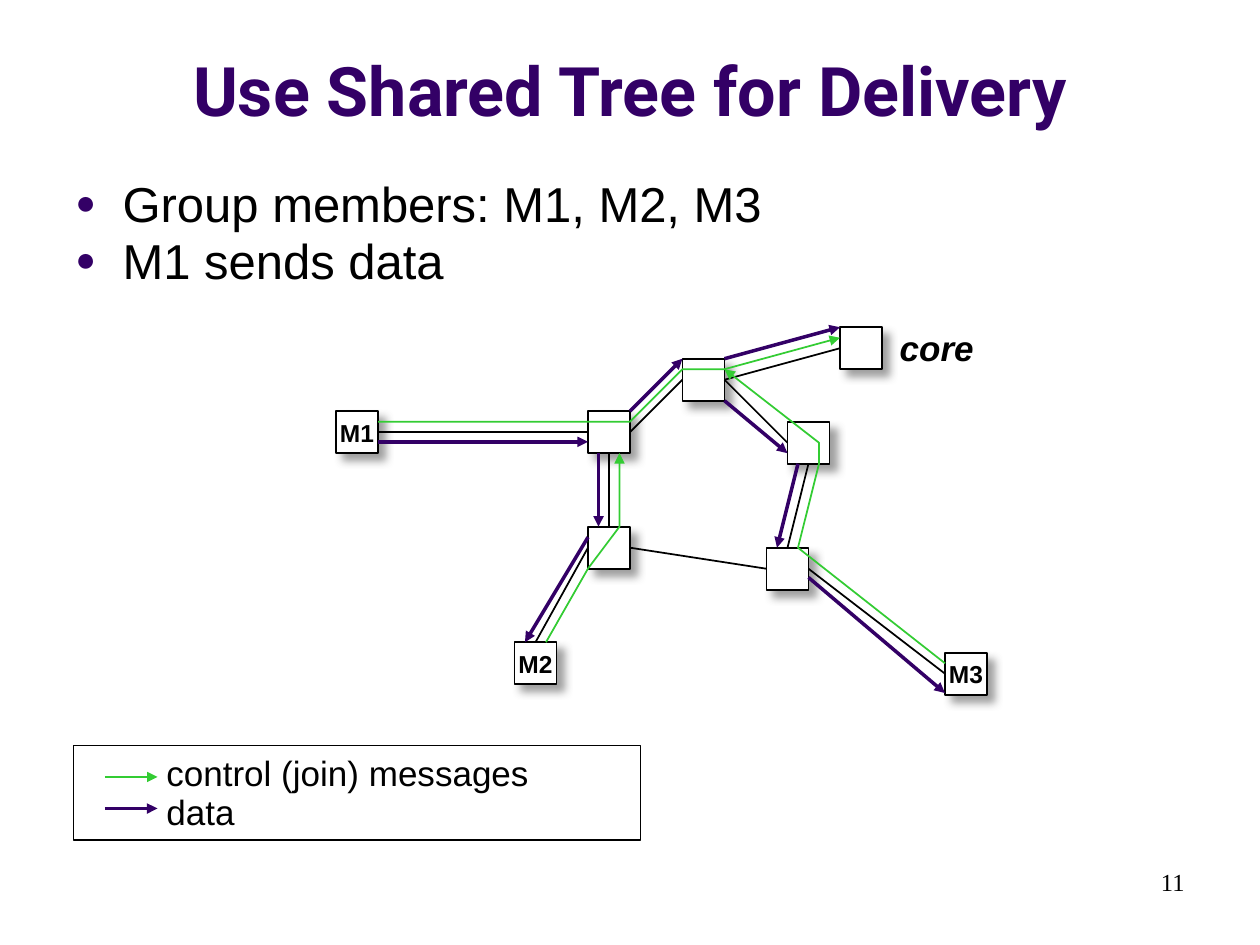
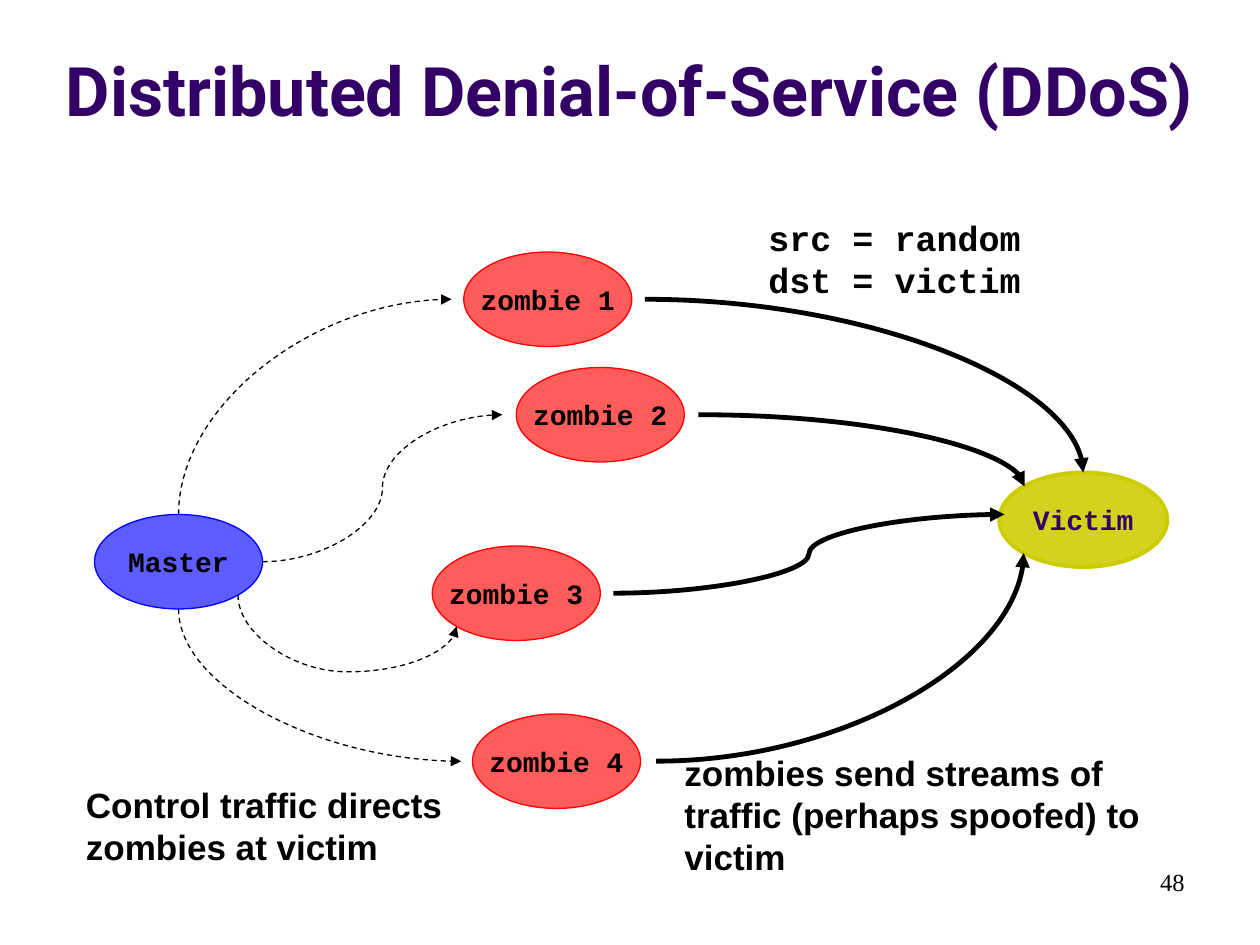
from lxml import etree
from pptx import Presentation
from pptx.dml.color import RGBColor
from pptx.enum.dml import MSO_LINE
from pptx.enum.shapes import MSO_CONNECTOR, MSO_SHAPE
from pptx.enum.text import MSO_ANCHOR, PP_ALIGN
from pptx.oxml import parse_xml
from pptx.oxml.ns import nsdecls, qn
from pptx.util import Pt

STRAIGHT, CURVE = MSO_CONNECTOR.STRAIGHT, MSO_CONNECTOR.CURVE
RECTANGLE, OVAL = MSO_SHAPE.RECTANGLE, MSO_SHAPE.OVAL
LEFT, CENTER, RIGHT = PP_ALIGN.LEFT, PP_ALIGN.CENTER, PP_ALIGN.RIGHT
TOP, MIDDLE, BOTTOM = MSO_ANCHOR.TOP, MSO_ANCHOR.MIDDLE, MSO_ANCHOR.BOTTOM
DASH = MSO_LINE.DASH

PURPLE = RGBColor(0x33, 0x00, 0x66)
GREEN = RGBColor(0x33, 0xCC, 0x33)
BLACK = RGBColor(0, 0, 0)
WHITE = RGBColor(0xFF, 0xFF, 0xFF)
GRAY = RGBColor(0x80, 0x80, 0x80)
BLUE = RGBColor(0, 0, 0xFF)
RED = RGBColor(0xFF, 0, 0)
OLIVE = RGBColor(0xCC, 0xCC, 0)

SANS, MONO, TITLE_FONT, NUMBER_FONT = "Arial", "Courier New", "Roboto", "Times New Roman"

BULLETS = ["Group members: M1, M2, M3", "M1 sends data"]
ROUTER_SIZE = 24
ROUTERS = {
    "hub": (336, 235), "lower left": (336, 301), "lower right": (438, 313),
    "right": (450, 241), "top": (390, 205), "M2": (294, 367),
    "M3": (540, 373), "M1": (192, 235), "core": (480, 187),
}
LINKS = [
    ("top", 3, "core", 1), ("top", 3, "right", 1), ("top", 1, "hub", 3),
    ("hub", 2, "lower left", 0), ("lower left", 3, "lower right", 1),
    ("lower right", 0, "right", 2), ("M1", 3, "hub", 1),
    ("M2", 0, "lower left", 1), ("M3", 1, "lower right", 3),
]
JOIN_PATHS = [
    [(216, 241), (360, 241), (390, 211), (414, 211), (480, 193)],
    [(312, 367), (336, 325), (354, 301), (354, 259)],
    [(540, 379), (456, 313), (468, 265), (468, 253), (414, 211)],
]
DATA_ARROWS = [
    ((216, 252.5), (336, 252.5)), ((342, 259), (342, 301)),
    ((336, 307), (300, 367)), ((360, 235), (390, 205)),
    ((414, 229), (450, 259)), ((456, 265), (444, 313)),
    ((462, 330), (540, 396)), ((414, 205), (480, 187)),
]
LEGEND = [
    ("control (join) messages", GREEN, 1, 444, (88, 426, 223, 31)),
    ("data", PURPLE, 2, 462, (88, 448, 54, 31)),
]

HOST_SIZE = (96, 54)
HOST_TEXT_SIZE = 16
HOSTS = [
    ("Master", 54, 294, BLUE, 64, 0.75, BLACK),
    ("zombie 1", 265, 144, RED, 64, 0.75, BLACK),
    ("zombie 3", 247, 312, RED, 64, 0.75, BLACK),
    ("zombie 4", 270, 408, RED, 64, 0.75, BLACK),
    ("zombie 2", 295, 210, RED, 64, 0.75, BLACK),
    ("Victim", 571, 270, OLIVE, 88, 2.25, PURPLE),
]
CONTROL_CURVES = [
    ((102, 294), (258, 171), "up", 2, None),
    ((150, 321), (287, 237), "right", 3, 0.5),
    ((136, 340), (261, 358), "down", 3, 2.44),
    ((102, 348), (263.5, 435), "down", 2, None),
]
STREAM_CURVES = [
    ((368.5, 171), (619, 270), "right", 2, None),
    ((399, 237), (585.5, 278), "right", 2, None),
    ((350.5, 339), (574, 294), "right", 3, 0.5),
    ((375, 435), (585, 316), "right", 2, None),
]
CAPTIONS = [
    ("Control traffic directs zombies at victim", (42, 444, 228, 55.5), SANS, LEFT, True),
    ("src = random\ndst = victim", (432, 120, 158.5, 55.5), MONO, CENTER, False),
    ("zombies send streams of traffic (perhaps spoofed) to victim",
     (384, 425.5, 306, 80), SANS, LEFT, True),
]


def points(values):
    return [Pt(value) for value in values]


def style_text(paragraph, size, font_name, color=BLACK, bold=False, align=LEFT):
    paragraph.alignment = align
    font = paragraph.font
    font.size, font.name, font.bold = Pt(size), font_name, bold
    font.color.rgb = color


def add_text(slide, text, box, size, font_name, color=BLACK, bold=False,
             align=LEFT, anchor=TOP, wrap=True):
    frame = slide.shapes.add_textbox(*points(box)).text_frame
    frame.word_wrap = wrap
    frame.vertical_anchor = anchor
    paragraph = frame.paragraphs[0]
    paragraph.text = text
    style_text(paragraph, size, font_name, color, bold, align)
    return paragraph


def style_line(shape, color, width, arrow=False, dash=None):
    shape.line.color.rgb = color
    shape.line.width = Pt(width)
    if dash:
        shape.line.dash_style = dash
    properties = shape._element.spPr
    if arrow:
        etree.SubElement(properties.find(qn("a:ln")), qn("a:tailEnd"), type="triangle")
    if properties.find(qn("a:effectLst")) is None:
        etree.SubElement(properties, qn("a:effectLst"))


def add_straight(slide, start, end, color, width, arrow=False):
    connector = slide.shapes.add_connector(STRAIGHT, *points(start + end))
    style_line(connector, color, width, arrow)
    return connector


def add_curve(slide, start, end, heading, kind, adjust, width, dash=None):
    (x1, y1), (x2, y2) = start, end
    if heading != "right":
        center_x, center_y = (x1 + x2) / 2, (y1 + y2) / 2
        half_width, half_height = abs(y2 - y1) / 2, abs(x2 - x1) / 2
        if heading == "down":
            half_height = -half_height
        x1, y1 = center_x + half_width, center_y + half_height
        x2, y2 = center_x - half_width, center_y - half_height
    connector = slide.shapes.add_connector(CURVE, *points((x1, y1, x2, y2)))
    properties = connector._element.spPr
    turn = {"right": 0, "up": 90, "down": 270}[heading]
    properties.find(qn("a:xfrm")).set("rot", str(turn * 60000))
    geometry = properties.find(qn("a:prstGeom"))
    geometry.set("prst", f"curvedConnector{kind}")
    if adjust is not None:
        etree.SubElement(geometry.find(qn("a:avLst")), qn("a:gd"),
                         name="adj1", fmla=f"val {round(adjust * 100000)}")
    style_line(connector, BLACK, width, True, dash)


def add_outlined(slide, kind, box, line_color, width, fill=None):
    shape = slide.shapes.add_shape(kind, *points(box))
    shape.shadow.inherit = False
    if fill is None:
        shape.fill.background()
    else:
        shape.fill.solid()
        shape.fill.fore_color.rgb = fill
    style_line(shape, line_color, width)
    return shape


def add_router(slide, left, top):
    router = add_outlined(slide, RECTANGLE, (left, top, ROUTER_SIZE, ROUTER_SIZE),
                          BLACK, 1, WHITE)
    effects = router._element.spPr.find(qn("a:effectLst"))
    effects.append(parse_xml(
        f'<a:outerShdw {nsdecls("a")} blurRad="{Pt(5)}" dist="{Pt(5.7)}" dir="2700000" '
        f'algn="ctr" rotWithShape="0"><a:srgbClr val="{GRAY}"><a:alpha val="75000"/>'
        '</a:srgbClr></a:outerShdw>'))
    return router


def add_bullet_style(paragraph):
    paragraph.line_spacing = 0.8
    properties = paragraph._p.get_or_add_pPr()
    properties.set("marL", str(Pt(27)))
    properties.set("indent", str(Pt(-27)))
    for item in (
        '<a:spcBef {0}><a:spcPct val="20000"/></a:spcBef>',
        '<a:buClr {0}><a:srgbClr val="{1}"/></a:buClr>',
        '<a:buSzPct {0} val="70000"/>',
        '<a:buFont {0} typeface="Arial"/>',
        '<a:buChar {0} char="●"/>',
    ):
        position = 1 if "spcBef" in item else len(properties)
        properties.insert(position, parse_xml(item.format(nsdecls("a"), PURPLE)))


def add_slide(presentation, title, number):
    slide = presentation.slides.add_slide(presentation.slide_layouts[6])
    add_text(slide, title, (0, 9.5, 720, 68.5), 39, TITLE_FONT, PURPLE, True,
             CENTER, BOTTOM)
    add_text(slide, number, (516, 492, 168, 36), 14, NUMBER_FONT, align=RIGHT)
    return slide


def build_shared_tree(presentation):
    slide = add_slide(presentation, "Use Shared Tree for Delivery", "11")
    first = add_text(slide, BULLETS[0], (36, 102, 672, 381), 28, SANS)
    add_bullet_style(first)
    frame = slide.shapes[-1].text_frame
    for text in BULLETS[1:]:
        paragraph = frame.add_paragraph()
        paragraph.text = text
        style_text(paragraph, 28, SANS)
        add_bullet_style(paragraph)

    routers = {name: add_router(slide, *place) for name, place in ROUTERS.items()}
    for begin, begin_side, end, end_side in LINKS:
        link = add_straight(slide, (0, 0), (0, 0), BLACK, 1)
        link.begin_connect(routers[begin], begin_side)
        link.end_connect(routers[end], end_side)
    core_left, core_top = ROUTERS["core"]
    core = add_text(slide, "core", (core_left + ROUTER_SIZE + 3, core_top - 4, 62, 31),
                    20, SANS, bold=True, wrap=False)
    core.font.italic = True

    for start, *stops in JOIN_PATHS:
        builder = slide.shapes.build_freeform(*points(start))
        builder.add_line_segments([points(stop) for stop in stops], close=False)
        path = builder.convert_to_shape()
        path.shadow.inherit = False
        path.fill.background()
        style_line(path, GREEN, 1, True)
    for name in ("M1", "M2", "M3"):
        left, top = ROUTERS[name]
        add_text(slide, name, (left - 5, top, 34, ROUTER_SIZE), 14, SANS,
                 bold=True, align=CENTER, anchor=MIDDLE, wrap=False)
    for start, end in DATA_ARROWS:
        add_straight(slide, start, end, PURPLE, 2, True)

    for text, color, width, height, box in LEGEND:
        add_straight(slide, (60, height), (90, height), color, width, True)
        add_text(slide, text, box, 20, SANS, wrap=False)
    add_outlined(slide, RECTANGLE, (42, 426, 324, 54), BLACK, 1)


def build_ddos(presentation):
    slide = add_slide(presentation, "Distributed Denial-of-Service (DDoS)", "48")
    for name, left, top, color, opacity, width, text_color in HOSTS:
        host = add_outlined(slide, OVAL, (left, top, *HOST_SIZE), color, width, color)
        fill_color = host._element.spPr.find(qn("a:solidFill"))[0]
        etree.SubElement(fill_color, qn("a:alpha"), val=str(opacity * 1000))
        frame = host.text_frame
        frame.word_wrap = False
        frame.vertical_anchor = MIDDLE
        frame.text = name
        style_text(frame.paragraphs[0], HOST_TEXT_SIZE, MONO, text_color, True, CENTER)
    for curve in CONTROL_CURVES:
        add_curve(slide, *curve, 0.75, DASH)
    for curve in STREAM_CURVES:
        add_curve(slide, *curve, 2.75)
    for text, box, font_name, align, wrap in CAPTIONS:
        add_text(slide, text, box, 20, font_name, bold=True, align=align,
                 anchor=MIDDLE, wrap=wrap)


def main():
    presentation = Presentation()
    presentation.slide_width, presentation.slide_height = Pt(720), Pt(540)
    build_shared_tree(presentation)
    build_ddos(presentation)
    presentation.save("out.pptx")


if __name__ == "__main__":
    main()
